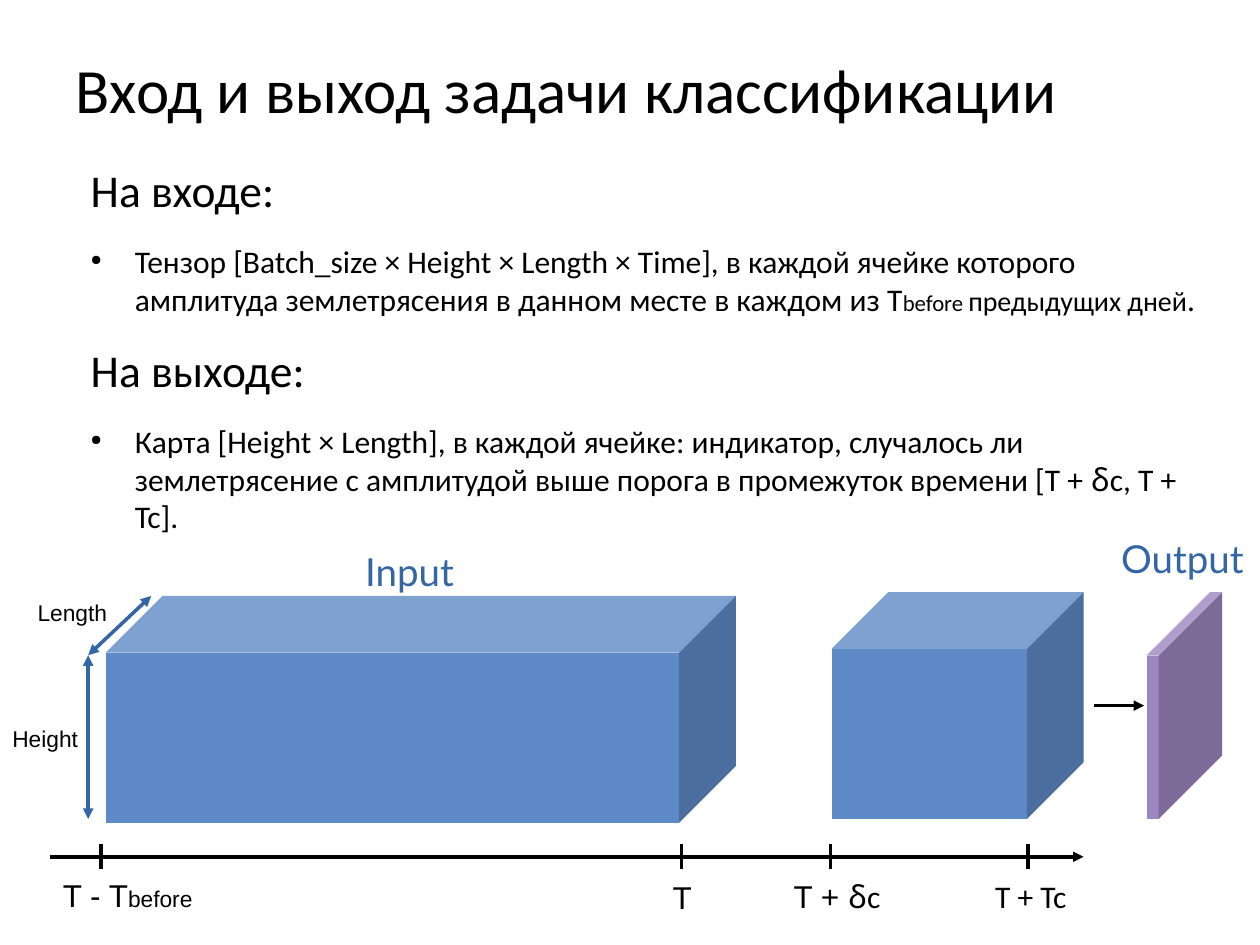
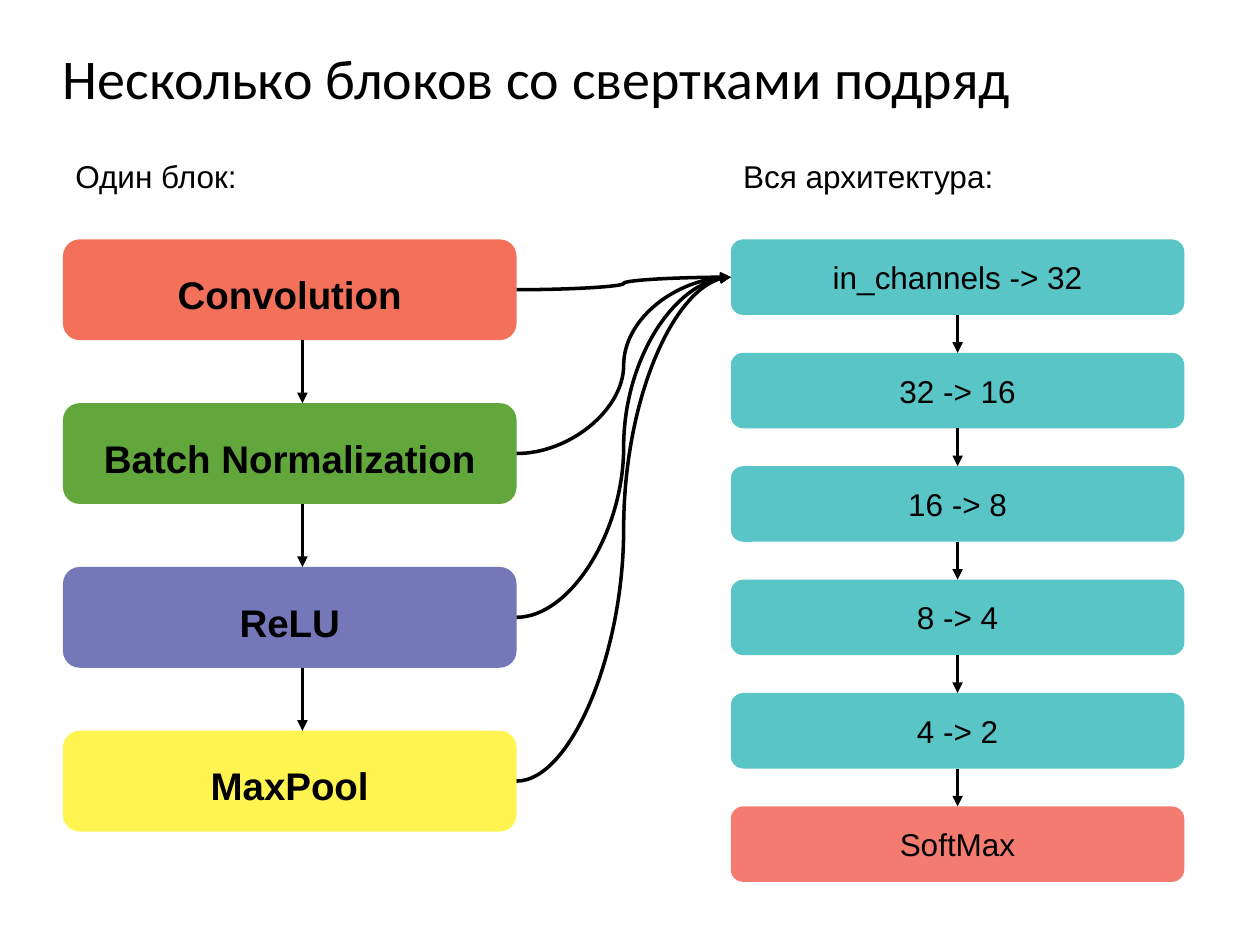
from dataclasses import dataclass
from typing import Optional

from lxml import etree
from pptx import Presentation
from pptx.dml.color import RGBColor
from pptx.enum.shapes import MSO_CONNECTOR, MSO_SHAPE
from pptx.enum.text import MSO_ANCHOR, PP_ALIGN
from pptx.oxml.ns import qn
from pptx.util import Emu, Pt

EMU_PER_PX = 9144  # 100 px to the inch
STRAIGHT, CURVE = MSO_CONNECTOR.STRAIGHT, MSO_CONNECTOR.CURVE
CUBE, ROUNDED = MSO_SHAPE.CUBE, MSO_SHAPE.ROUNDED_RECTANGLE
TOP, MIDDLE = MSO_ANCHOR.TOP, MSO_ANCHOR.MIDDLE
CENTER = PP_ALIGN.CENTER
LEFT_SITE, RIGHT_SITE = 1, 3

BLACK, BLUE = "000000", "3465A4"
TENSOR_BLUE, MAP_PURPLE = "5E8AC7", "9D85BE"
TEAL, SALMON = "59C5C7", "F37B70"
SANS, TITLE_FONT, CAPTION_FONT, GREEK_FONT = "Arial", "Calibri", "Lato", "Noto Sans Mono"


@dataclass(frozen=True)
class Span:
    text: str
    size: Optional[float] = None
    font: Optional[str] = None


@dataclass(frozen=True)
class Label:
    left: int
    top: int
    width: int
    height: int
    spans: tuple[Span, ...]
    size: float = 18
    font: str = SANS
    color: str = BLACK


@dataclass(frozen=True)
class Cube:
    left: int
    top: int
    width: int
    depth: float
    color: str


@dataclass(frozen=True)
class Line:
    x1: int
    y1: int
    x2: int
    y2: int
    color: str = BLACK
    start_arrow: bool = False
    end_arrow: bool = False


@dataclass(frozen=True)
class Column:
    left: int
    top: int
    width: int
    height: int
    step: int
    arrow_x: int
    size: float
    bold: bool
    top_inset: int


# ---- shared drawing ----
def px(value: float) -> Emu:
    return Emu(round(value * EMU_PER_PX))


def rgb(color: str) -> RGBColor:
    return RGBColor.from_string(color)


def style_font(font, size: float, name: str, color: str = BLACK, bold: bool = False) -> None:
    font.size, font.name, font.bold = Pt(size), name, bold
    font.color.rgb = rgb(color)


def add_spans(para, spans: tuple[Span, ...]) -> None:
    for span in spans:
        run = para.add_run()
        run.text = span.text
        if span.size:
            run.font.size = Pt(span.size)
        if span.font:
            run.font.name = span.font


def add_text_frame(page, left: int, top: int, width: int, height: int,
                   inset: tuple[int, int] = (0, 0), anchor=TOP):
    frame = page.shapes.add_textbox(px(left), px(top), px(width), px(height)).text_frame
    frame.word_wrap = True
    frame.vertical_anchor = anchor
    frame.margin_left = frame.margin_right = px(inset[0])
    frame.margin_top = frame.margin_bottom = px(inset[1])
    return frame


def add_title(page, text: str, left: int, top: int, height: int, size: float) -> None:
    para = add_text_frame(page, left, top, 850, height, anchor=MIDDLE).paragraphs[0]
    style_font(para.font, size, TITLE_FONT)
    add_spans(para, (Span(text),))


def add_label(page, label: Label) -> None:
    frame = add_text_frame(page, label.left, label.top, label.width, label.height, (10, 5))
    para = frame.paragraphs[0]
    style_font(para.font, label.size, label.font, label.color)
    add_spans(para, label.spans)


def add_solid(page, kind, left: int, top: int, width: int, height: int, color: str):
    shape = page.shapes.add_shape(kind, px(left), px(top), px(width), px(height))
    shape.shadow.inherit = False
    shape.fill.solid()
    shape.fill.fore_color.rgb = rgb(color)
    shape.line.fill.background()
    return shape


def style_line(connector, color: str, start_arrow: bool, end_arrow: bool) -> None:
    connector.line.color.rgb = rgb(color)
    connector.line.width = Pt(0)  # hairline
    outline = connector.line._get_or_add_ln()
    for wanted, tag in ((start_arrow, "a:headEnd"), (end_arrow, "a:tailEnd")):
        if wanted:
            etree.SubElement(outline, qn(tag), type="triangle")
    etree.SubElement(connector._element.spPr, qn("a:effectLst"))


def add_line(page, line: Line) -> None:
    connector = page.shapes.add_connector(
        STRAIGHT, px(line.x1), px(line.y1), px(line.x2), px(line.y2))
    style_line(connector, line.color, line.start_arrow, line.end_arrow)


# ---- slide 1: input and output of the task ----
HEADING_SIZE, BODY_SIZE = 26, 18
TASK_TEXT = (
    ("На входе:", (
        Span("Тензор [Batch_size × Height × Length × Time], в каждой ячейке которого "
             "амплитуда землетрясения в данном месте в каждом из T"),
        Span("before ", 13), Span("предыдущих дней", 16), Span("."))),
    ("На выходе:", (
        Span("Карта [Height × Length], в каждой ячейке: индикатор, случалось ли "
             "землетрясение с амплитудой выше порога в промежуток времени [T + "),
        Span("δ", font=GREEK_FONT), Span("c, T + Tc]."))),
)
CUBES = (
    Cube(84, 473, 500, 0.25, TENSOR_BLUE),
    Cube(660, 470, 200, 0.25, TENSOR_BLUE),
    Cube(910, 470, 60, 0.84, MAP_PURPLE),
)
TASK_LABELS = (
    Label(20, 470, 80, 30, (Span("Length"),), 13),
    Label(0, 570, 80, 30, (Span("Height"),), 13),
    Label(524, 692, 40, 38, (Span("T"),)),
    Label(620, 691, 90, 39,
          (Span("T + "), Span("δ", font=GREEK_FONT), Span("c", font=TITLE_FONT))),
    Label(780, 691, 90, 35, (Span("T + Tc"),), font=TITLE_FONT),
    Label(280, 430, 100, 40, (Span("Input"),), 22, CAPTION_FONT, BLUE),
    Label(880, 420, 130, 40, (Span("Output"),), 22, CAPTION_FONT, BLUE),
    Label(40, 690, 130, 38, (Span("T - T"), Span("before", 13))),
)
AXIS_Y, TICK_HALF = 680, 10
TICKS = (80, 541, 659, 816)
TASK_ARROWS = (
    Line(40, AXIS_Y, 860, AXIS_Y, end_arrow=True),
    Line(70, 520, 120, 473, BLUE, True, True),
    Line(70, 520, 70, 650, BLUE, True, True),
    Line(868, 560, 908, 560, end_arrow=True),
)


def add_bullet(para) -> None:
    properties = para._p.get_or_add_pPr()
    properties.set("marL", str(px(47)))
    properties.set("indent", str(px(-35)))
    color = etree.SubElement(properties, qn("a:buClr"))
    etree.SubElement(color, qn("a:srgbClr"), val=BLACK)
    etree.SubElement(properties, qn("a:buSzPct"), val="45000")
    etree.SubElement(properties, qn("a:buChar"), char="●")


def add_task_text(page) -> None:
    frame = add_text_frame(page, 60, 129, 900, 530)
    para = frame.paragraphs[0]
    for number, (heading, details) in enumerate(TASK_TEXT):
        if number:
            para = frame.add_paragraph()
        para.space_before = Pt(14.2)
        para._p.get_or_add_pPr().set("marL", str(px(12)))
        style_font(para.font, HEADING_SIZE, TITLE_FONT)
        add_spans(para, (Span(heading),))
        item = frame.add_paragraph()
        item.space_before = Pt(14.2)
        add_bullet(item)
        style_font(item.font, BODY_SIZE, TITLE_FONT)
        add_spans(item, details)


def build_task_slide(page) -> None:
    add_task_text(page)
    add_title(page, "Вход и выход задачи классификации", 60, 10, 120, 36)
    for cube in CUBES:
        solid = add_solid(page, CUBE, cube.left, cube.top, cube.width, 180, cube.color)
        solid.adjustments[0] = cube.depth
    for label in TASK_LABELS:
        add_label(page, label)
    for x in TICKS:
        add_line(page, Line(x, AXIS_Y - TICK_HALF, x, AXIS_Y + TICK_HALF))
    for arrow in TASK_ARROWS:
        add_line(page, arrow)


# ---- slide 2: network architecture ----
BLOCK_COLUMN = Column(50, 190, 360, 80, 130, 240, 22, True, 12)
NETWORK_COLUMN = Column(580, 190, 360, 60, 90, 760, 18, False, 5)
BLOCK_LAYERS = (
    ("Convolution", "F3715A"),
    ("Batch Normalization", "62A73B"),
    ("ReLU", "7477B8"),
    ("MaxPool", "FFF450"),
)
NETWORK_LAYERS = (
    ("in_channels -> 32", TEAL),
    ("32 -> 16", TEAL),
    ("16 -> 8", TEAL),
    ("8 -> 4", TEAL),
    ("4 -> 2", TEAL),
    ("SoftMax", SALMON),
)
NETWORK_LABELS = (
    Label(50, 120, 180, 38, (Span("Один блок:"),)),
    Label(580, 120, 235, 38, (Span("Вся архитектура:"),)),
)


def add_column(page, column: Column, layers: tuple[tuple[str, str], ...]) -> list:
    boxes = []
    for number, (name, color) in enumerate(layers):
        top = column.top + number * column.step
        box = add_solid(page, ROUNDED, column.left, top, column.width, column.height, color)
        frame = box.text_frame
        frame.word_wrap = True
        frame.vertical_anchor = MIDDLE
        frame.margin_top, frame.margin_bottom = px(column.top_inset), px(5)
        para = frame.paragraphs[0]
        para.alignment = CENTER
        style_font(para.font, column.size, SANS, bold=column.bold)
        add_spans(para, (Span(name),))
        boxes.append(box)
        if number:
            gap_top = top - column.step + column.height
            add_line(page, Line(column.arrow_x, gap_top, column.arrow_x, top, end_arrow=True))
    return boxes


def build_network_slide(page) -> None:
    add_title(page, "Несколько блоков со свертками подряд", 50, 26, 70, 32)
    for label in NETWORK_LABELS:
        add_label(page, label)
    block = add_column(page, BLOCK_COLUMN, BLOCK_LAYERS)
    network = add_column(page, NETWORK_COLUMN, NETWORK_LAYERS)
    for box in block:
        curve = page.shapes.add_connector(CURVE, 0, 0, 0, 0)
        curve.begin_connect(box, RIGHT_SITE)
        curve.end_connect(network[0], LEFT_SITE)
        style_line(curve, BLACK, False, True)


def main() -> None:
    deck = Presentation()
    deck.slide_width, deck.slide_height = px(1000), px(750)
    blank = deck.slide_layouts[6]
    for build in (build_task_slide, build_network_slide):
        build(deck.slides.add_slide(blank))
    deck.save("out.pptx")


if __name__ == "__main__":
    main()
